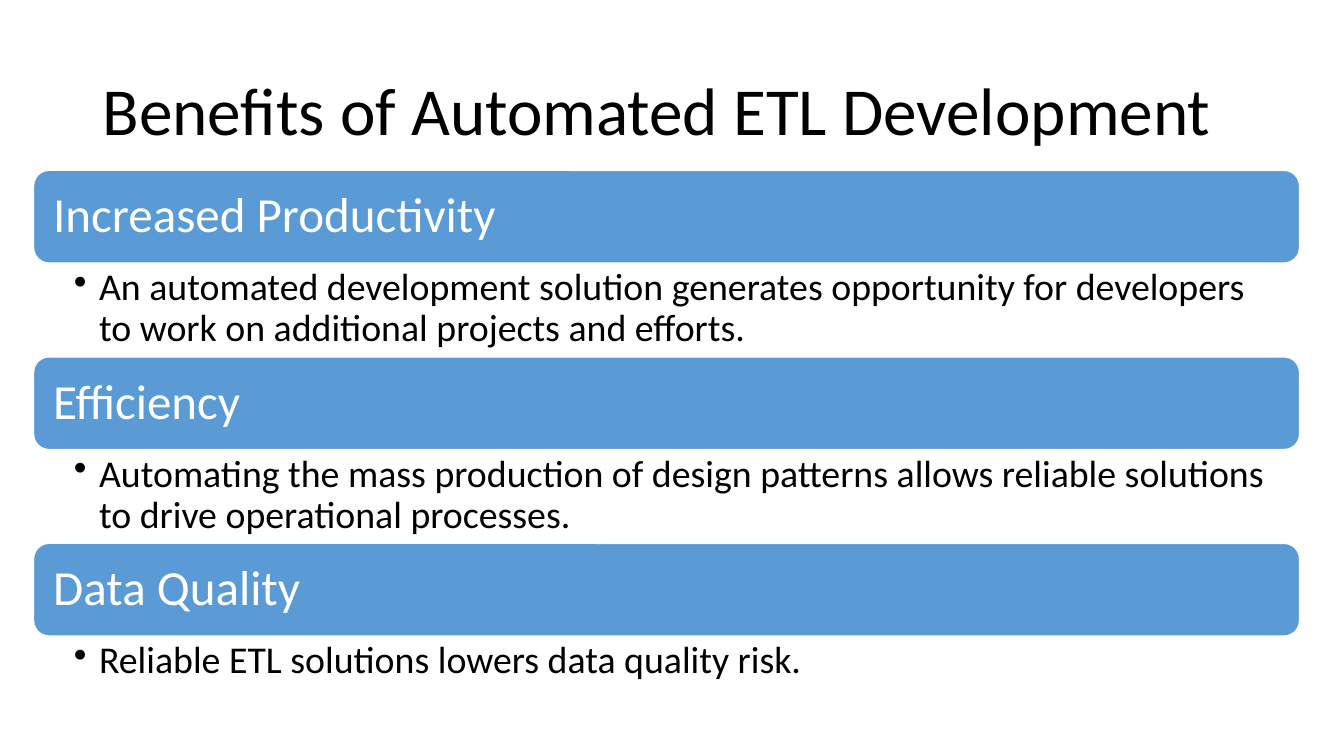
from dataclasses import dataclass

from lxml.etree import SubElement
from pptx import Presentation
from pptx.dml.color import RGBColor
from pptx.enum.shapes import MSO_SHAPE
from pptx.enum.text import MSO_ANCHOR, PP_ALIGN
from pptx.oxml.ns import qn
from pptx.shapes.autoshape import Shape
from pptx.slide import Slide
from pptx.util import Inches, Pt

PAGE_WIDTH = Inches(13.33)
PAGE_HEIGHT = Inches(7.5)
FONT = "Calibri"
BLACK, WHITE, BLUE = "000000", "FFFFFF", "5B9BD5"

LIST_LEFT, LIST_WIDTH = 2.5, 94.2
LIST_TOP, ROW_PITCH, BAND_HEIGHT = 22.53, 24.67, 12.27


@dataclass(frozen=True)
class Area:
    """A rectangle in percent of the page's width and height."""
    left: float
    top: float
    width: float
    height: float

    def lengths(self) -> tuple[int, int, int, int]:
        return (int(PAGE_WIDTH * self.left / 100), int(PAGE_HEIGHT * self.top / 100),
                int(PAGE_WIDTH * self.width / 100), int(PAGE_HEIGHT * self.height / 100))


@dataclass(frozen=True)
class Benefit:
    heading: str
    detail: str
    detail_height: float


TITLE_AREA = Area(6.9, 5.33, 86.25, 19.33)
BENEFITS = [
    Benefit("Increased Productivity",
            "An automated development solution generates opportunity for developers "
            "to work on additional projects and efforts.", 12.4),
    Benefit("Efficiency",
            "Automating the mass production of design patterns allows reliable "
            "solutions to drive operational processes.", 12.4),
    Benefit("Data Quality", "Reliable ETL solutions lowers data quality risk.", 8.4),
]


def color(value: str) -> RGBColor:
    return RGBColor.from_string(value)


def write(box: Shape, text: str, size: float, ink: str, anchor: MSO_ANCHOR,
          insets: tuple[float, float, float, float], bullet: bool = False) -> None:
    frame = box.text_frame
    frame.word_wrap = True
    frame.vertical_anchor = anchor
    (frame.margin_left, frame.margin_top,
     frame.margin_right, frame.margin_bottom) = map(Inches, insets)
    para = frame.paragraphs[0]
    para.text = text
    para.alignment = PP_ALIGN.LEFT
    para.line_spacing = 0.9
    if bullet:
        para.level = 1
        properties = para._p.get_or_add_pPr()
        properties.set("marL", str(Inches(0.25)))
        properties.set("indent", str(-Inches(0.25)))
        SubElement(properties, qn("a:buChar"), char="•")
    para.font.name = FONT
    para.font.size = Pt(size)
    para.font.color.rgb = color(ink)


def add_title(page: Slide, text: str) -> None:
    box = page.shapes.add_textbox(*TITLE_AREA.lengths())
    write(box, text, 48, BLACK, MSO_ANCHOR.MIDDLE, (0.1, 0.05, 0.1, 0.05))


def add_benefit(page: Slide, benefit: Benefit, top: float) -> None:
    band_area = Area(LIST_LEFT, top, LIST_WIDTH, BAND_HEIGHT)
    band = page.shapes.add_shape(MSO_SHAPE.ROUNDED_RECTANGLE, *band_area.lengths())
    band.shadow.inherit = False
    band.fill.solid()
    band.fill.fore_color.rgb = color(BLUE)
    band.line.color.rgb = color(WHITE)
    band.line.width = Pt(1)
    write(band, benefit.heading, 35, WHITE, MSO_ANCHOR.MIDDLE, (0.15, 0.15, 0.15, 0.15))

    detail_area = Area(LIST_LEFT, top + BAND_HEIGHT, LIST_WIDTH, benefit.detail_height)
    detail = page.shapes.add_textbox(*detail_area.lengths())
    write(detail, benefit.detail, 27, BLACK, MSO_ANCHOR.TOP,
          (0.4, 0.05, 0.27, 0.05), bullet=True)


def main() -> None:
    deck = Presentation()
    deck.slide_width, deck.slide_height = PAGE_WIDTH, PAGE_HEIGHT
    page = deck.slides.add_slide(deck.slide_layouts[6])
    add_title(page, "Benefits of Automated ETL Development")
    for row, benefit in enumerate(BENEFITS):
        add_benefit(page, benefit, LIST_TOP + row * ROW_PITCH)
    deck.save("out.pptx")


if __name__ == "__main__":
    main()
